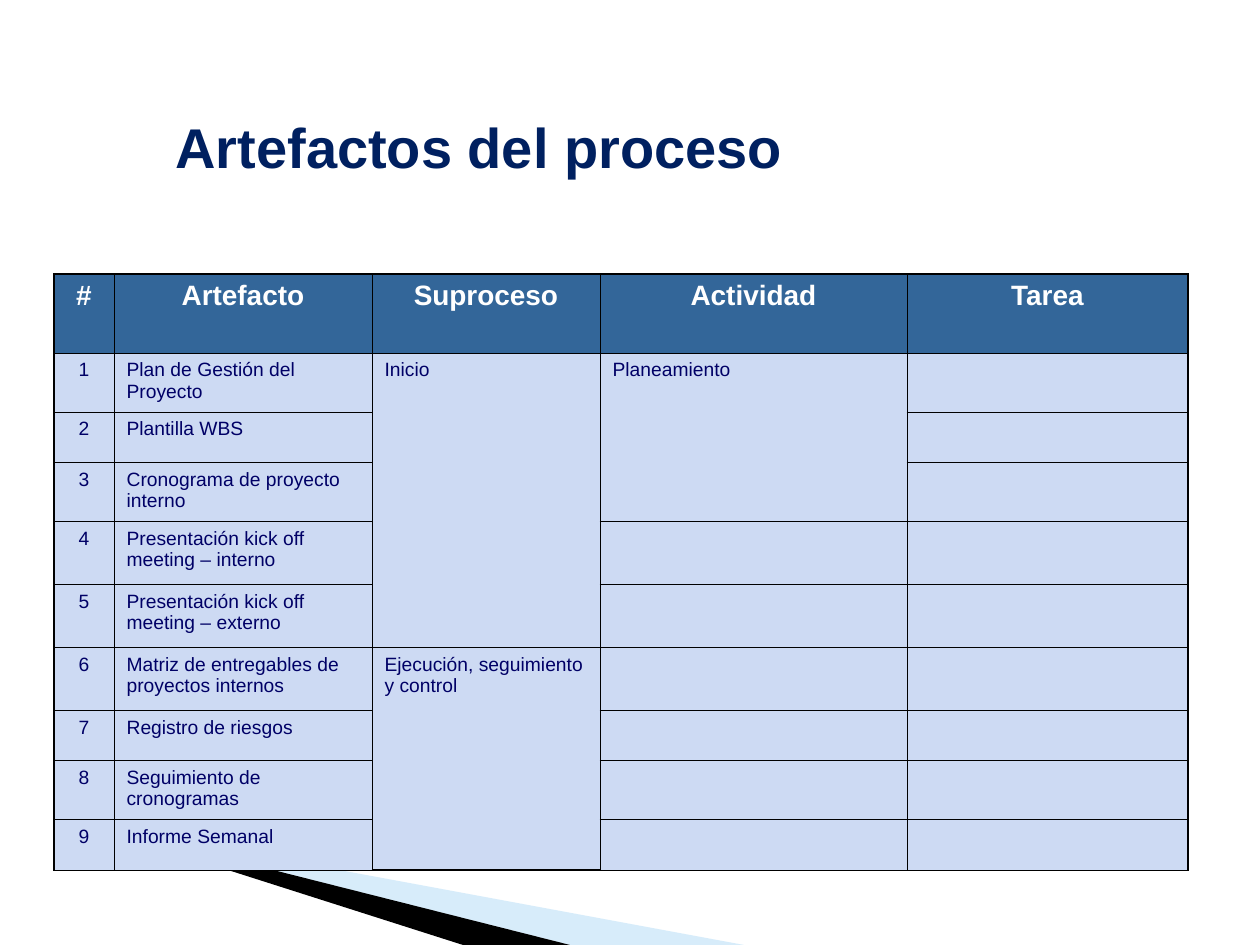
from lxml import etree
from pptx import Presentation
from pptx import util as u
from pptx.dml.color import RGBColor
from pptx.enum import text
from pptx.oxml.ns import qn

SCALE = u.Inches(10) / 1260
FONT = "Arial"
COLORS = {
    "title": "002060",
    "header": "336699",
    "header_text": "FFFFFF",
    "body": "CDDAF3",
    "body_text": "000066",
    "border": "000000",
    "light_ribbon": "9BD0F4",
    "dark_ribbon": "000000",
}
COLUMNS = [60, 258, 228, 307, 281]
ROWS = [79, 59, 35, 59, 63, 63, 63, 40, 59, 35]
HEADINGS = ["#", "Artefacto", "Suproceso", "Actividad", "Tarea"]
ARTIFACTS = [
    "Plan de Gestión del Proyecto",
    "Plantilla WBS",
    "Cronograma de proyecto interno",
    "Presentación kick off meeting – interno",
    "Presentación kick off meeting – externo",
    "Matriz de entregables de proyectos internos",
    "Registro de riesgos",
    "Seguimiento de cronogramas",
    "Informe Semanal",
]
SPANS = {
    (1, 2): (5, "Inicio"),
    (1, 3): (3, "Planeamiento"),
    (6, 2): (4, "Ejecución, seguimiento y control"),
}
THIN, THICK = 0.45, 1.08


def px(value):
    return u.Emu(round(value * SCALE))


def color(name):
    return RGBColor.from_string(COLORS[name])


def write(frame, words, size, tone, bold=False, align=text.PP_ALIGN.LEFT):
    para = frame.paragraphs[0]
    para.text = words
    para.alignment = align
    font = para.font
    font.name, font.size, font.bold = FONT, u.Pt(size), bold
    font.color.rgb = color(tone)


def add_ribbon(page, left, top, points, tone, alpha=100):
    corners = [(px(left + x), px(top + y)) for x, y in points]
    builder = page.shapes.build_freeform(*corners[0])
    builder.add_line_segments(corners[1:], close=True)
    ribbon = builder.convert_to_shape()
    ribbon.shadow.inherit = False
    ribbon.line.fill.background()
    ribbon.fill.solid()
    ribbon.fill.fore_color.rgb = color(tone)
    if alpha < 100:
        tint = ribbon.fill._xPr.find(".//" + qn("a:srgbClr"))
        etree.SubElement(tint, qn("a:alpha"), val=str(alpha * 1000))


def add_ribbons(page, left, top):
    add_ribbon(page, left, top, [(2, 2), (677, 127), (503, 127), (2, 1)], "light_ribbon", 40)
    add_ribbon(page, left, top, [(0, 0), (503, 127), (396, 127), (1, 1)], "dark_ribbon")


def add_title(page, left, top, width, height):
    box = page.shapes.add_textbox(px(left), px(top), px(width), px(height))
    box.text_frame.word_wrap = False
    box.text_frame.auto_size = text.MSO_AUTO_SIZE.SHAPE_TO_FIT_TEXT
    write(box.text_frame, "Artefactos del proceso", 32, "title", True)


def set_borders(cell, widths):
    properties = cell._tc.get_or_add_tcPr()
    for side in "LRTB":
        line = etree.SubElement(properties, qn("a:ln" + side), w=str(u.Pt(widths[side])))
        fill = etree.SubElement(line, qn("a:solidFill"))
        etree.SubElement(fill, qn("a:srgbClr"), val=COLORS["border"])


def cell_words(row, column):
    if row == 0:
        return HEADINGS[column]
    if column == 0:
        return str(row)
    if column == 1:
        return ARTIFACTS[row - 1]
    return SPANS.get((row, column), (1, ""))[1]


def add_artifact_table(page, left, top):
    frame = page.shapes.add_table(
        len(ROWS), len(COLUMNS), px(left), px(top), px(sum(COLUMNS)), px(sum(ROWS))
    )
    table = frame.table
    table.first_row = table.horz_banding = False
    for column, width in enumerate(COLUMNS):
        table.columns[column].width = px(width)
    for row, height in enumerate(ROWS):
        table.rows[row].height = px(height)
        for column in range(len(COLUMNS)):
            cell = table.cell(row, column)
            thick = {
                "L": column == 0,
                "R": column == len(COLUMNS) - 1,
                "T": row == 0,
                "B": (row, column) == (6, 2),
            }
            set_borders(cell, {side: THICK if on else THIN for side, on in thick.items()})
            kind = "body" if row else "header"
            cell.fill.solid()
            cell.fill.fore_color.rgb = color(kind)
            words = cell_words(row, column)
            if words:
                centred = row == 0 or column == 0
                align = text.PP_ALIGN.CENTER if centred else text.PP_ALIGN.LEFT
                size = 11 if row else 16
                write(cell.text_frame, words, size, kind + "_text", row == 0, align)
    for (row, column), (count, _) in SPANS.items():
        table.cell(row, column).merge(table.cell(row + count - 1, column))


def main():
    deck = Presentation()
    deck.slide_width, deck.slide_height = px(1260), px(945)
    page = deck.slides.add_slide(deck.slide_layouts[6])
    add_ribbons(page, 67, 818)
    add_title(page, 163, 106, 633, 81)
    add_artifact_table(page, 54, 274)
    deck.save("out.pptx")


if __name__ == "__main__":
    main()
